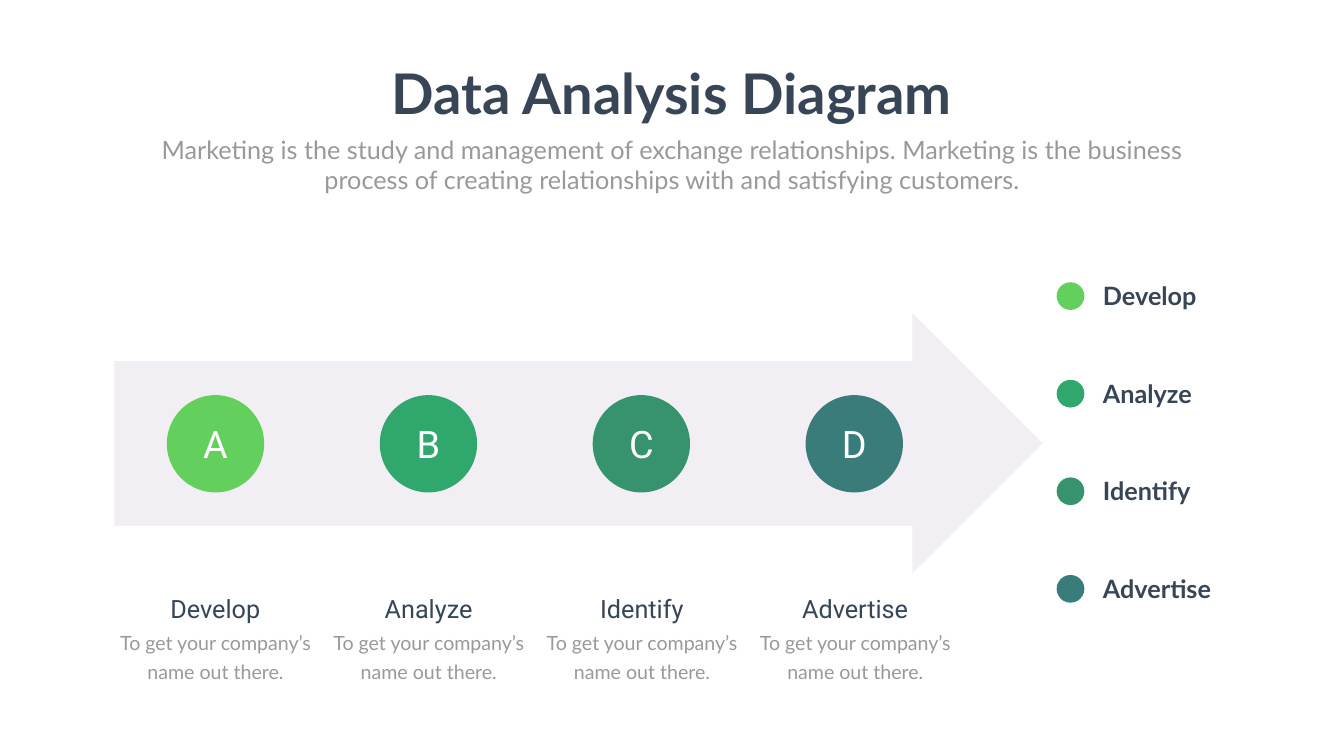
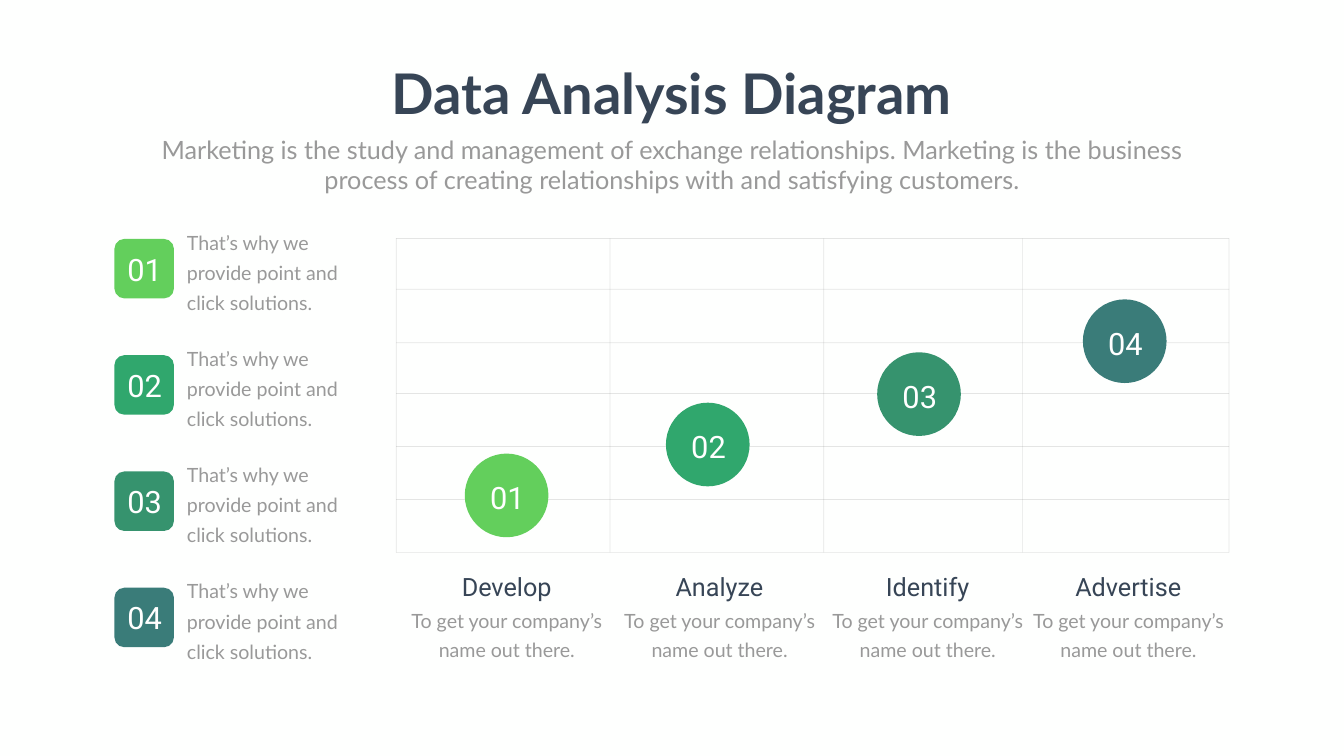
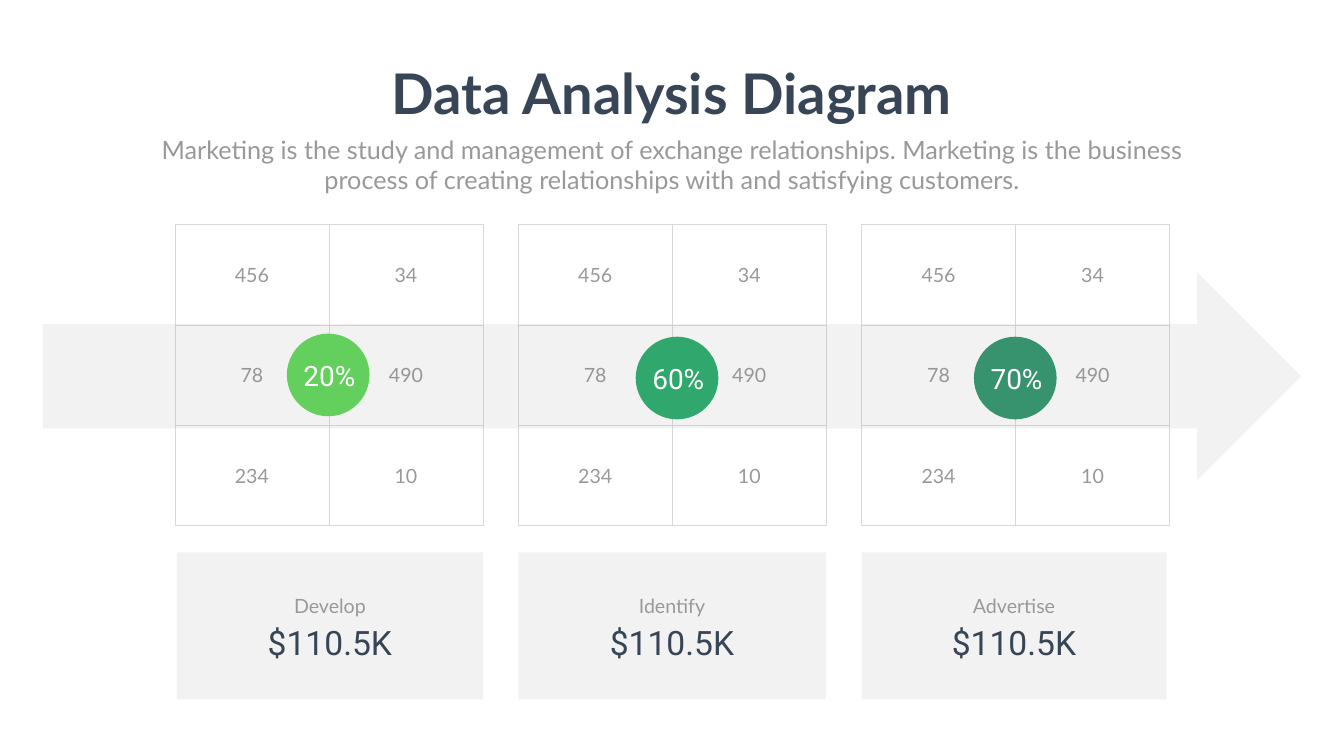
from lxml import etree
from pptx import Presentation
from pptx.dml.color import RGBColor
from pptx.enum import shapes, text
from pptx.oxml.ns import qn
from pptx.util import Pt

NAVY, GREY, WHITE = "374556", "999999", "FFFFFF"
BACKGROUND, ARROW, RULE, BORDER = "FEFFFE", "F1EEF4", "808080", "D9D9D9"
GREENS = ["63CF5C", "30A76D", "36936E", "3A7C79"]
STAGES = ["Develop", "Analyze", "Identify", "Advertise"]
NUMBERS = ["01", "02", "03", "04"]
FIGURES = [["456", "34"], ["78", "490"], ["234", "10"]]
TITLE = "Data Analysis Diagram"
SUBTITLE = (
    "Marketing is the study and management of exchange relationships. "
    "Marketing is the business process of creating relationships with "
    "and satisfying customers."
)
CAPTION = "To get your company’s name out there."
POINT = "That’s why we provide point and click solutions."
CENTER, LEFT = text.PP_ALIGN.CENTER, text.PP_ALIGN.LEFT
AUTO = shapes.MSO_SHAPE


def color(value):
    return RGBColor.from_string(value)


def box(*lengths):
    return [Pt(length) for length in lengths]


def set_alpha(parent, percent):
    for tint in parent.iter(qn("a:srgbClr")):
        etree.SubElement(tint, qn("a:alpha")).set("val", str(percent * 1000))


def write(paragraph, words, size, font, ink, align=CENTER, bold=False, leading=None):
    paragraph.alignment = align
    if leading:
        paragraph.line_spacing = Pt(leading)
    run = paragraph.add_run()
    run.text = words
    run.font.size = Pt(size)
    run.font.name = font
    run.font.bold = bold
    run.font.color.rgb = color(ink)


def add_text(slide, place, words, size, font, ink, wrap=True, **style):
    frame = slide.shapes.add_textbox(*box(*place)).text_frame
    frame.word_wrap = wrap
    write(frame.paragraphs[0], words, size, font, ink, **style)


def add_block(slide, kind, place, fill, alpha=None, adjustments=()):
    block = slide.shapes.add_shape(kind, *box(*place))
    block.shadow.inherit = False
    block.fill.solid()
    block.fill.fore_color.rgb = color(fill)
    block.line.fill.background()
    for index, value in enumerate(adjustments):
        block.adjustments[index] = value
    if alpha:
        set_alpha(block.element.spPr, alpha)


def add_circle(slide, left, top, diameter, fill):
    add_block(slide, AUTO.OVAL, (left, top, diameter, diameter), fill)


def add_rule(slide, *ends):
    rule = slide.shapes.add_connector(shapes.MSO_CONNECTOR.STRAIGHT, *box(*ends))
    rule.line.width = Pt(1)
    rule.line.color.rgb = color(RULE)
    properties = rule._element.spPr
    set_alpha(properties, 20)
    etree.SubElement(properties, qn("a:effectLst"))


def add_caption(slide, left, top, stage):
    add_text(slide, (left, top, 300.2, 87.8), CAPTION, 28, "Lato", GREY, leading=40.8)
    add_text(slide, (left + 24.5, top - 46.8, 250.6, 50), stage, 36, "Roboto", NAVY)


def add_border(cell):
    properties = cell._tc.get_or_add_tcPr()
    for index, side in enumerate(["lnL", "lnR", "lnT", "lnB"]):
        edge = etree.Element(qn("a:" + side), w=str(Pt(1)))
        fill = etree.SubElement(edge, qn("a:solidFill"))
        etree.SubElement(fill, qn("a:srgbClr"), val=BORDER)
        properties.insert(index, edge)


def add_figures(slide, left, top):
    frame = slide.shapes.add_table(3, 2, *box(left, top, 440, 429.9))
    table = frame.table
    table.first_row = table.horz_banding = False
    for column in table.columns:
        column.width = Pt(220)
    for row, values in zip(table.rows, FIGURES):
        row.height = Pt(143.3)
        for cell, value in zip(row.cells, values):
            cell.vertical_anchor = text.MSO_ANCHOR.MIDDLE
            cell.fill.solid()
            cell.fill.fore_color.rgb = color(WHITE)
            write(cell.text_frame.paragraphs[0], value, 28, "Lato", GREY)
            add_border(cell)


def add_slide(deck):
    slide = deck.slides.add_slide(deck.slide_layouts[6])
    slide.background.fill.solid()
    slide.background.fill.fore_color.rgb = color(BACKGROUND)
    add_text(slide, (542.2, 80.6, 834.5, 104.4), TITLE, 80, "Lato", NAVY,
             wrap=False, bold=True)
    add_text(slide, (210.2, 187.9, 1499, 94.3), SUBTITLE, 36, "Lato", GREY)
    return slide


def build_process(deck):
    slide = add_slide(deck)
    add_block(slide, AUTO.RIGHT_ARROW, (163.4, 447.8, 1325.5, 371.5), ARROW,
              adjustments=(0.634, 0.5))
    for index, (stage, green, letter) in enumerate(zip(STAGES, GREENS, "ABCD")):
        legend_top = 403.2 + 139.4 * index
        add_circle(slide, 1509.1, legend_top, 39.6, green)
        add_text(slide, (1568.2, legend_top - 6.2, 187.9, 51.1), stage, 36, "Lato",
                 NAVY, align=LEFT, bold=True)
        left = 238.3 + 304.1 * index
        add_circle(slide, left, 564.5, 139, green)
        add_text(slide, (left + 24.8, 597, 89.3, 72.7), letter, 54, "Roboto", WHITE)
        add_caption(slide, 157.7 + 304.6 * index, 890.6, stage)


def build_grid(deck):
    slide = add_slide(deck)
    rows = [340.6, 413.3, 489.6, 562.3, 637.9, 713.5, 789.1]
    columns = [565.9, 871.2, 1176.5, 1460.2, 1755.4]
    for y in rows:
        add_rule(slide, columns[0], y, columns[-1], y)
    for x in columns:
        add_rule(slide, x, rows[0], x, rows[-1])
    circles = [(663.8, 648), (951.1, 575.3), (1252.8, 503.3), (1546.6, 427.7)]
    caption_lefts = [573.8, 877.7, 1175, 1461.6]
    steps = zip(STAGES, GREENS, NUMBERS, circles, caption_lefts)
    for index, (stage, green, number, (left, top), caption_left) in enumerate(steps):
        add_circle(slide, left, top, 119.5, green)
        add_text(slide, (left + 26.3, top + 32.6, 69.1, 56.2), number, 44, "Roboto", WHITE)
        add_caption(slide, caption_left, 859.7, stage)
        tile_top = 341.3 + 166.1 * index
        add_block(slide, AUTO.ROUNDED_RECTANGLE, (163.4, tile_top, 85, 85), green)
        add_text(slide, (158.4, tile_top + 12.8, 96.5, 60.5), number, 44, "Roboto", WHITE)
        add_text(slide, (259.9, tile_top - 24.8, 255.6, 132.5), POINT, 28, "Lato", GREY,
                 align=LEFT, leading=43)


def build_figures(deck):
    slide = add_slide(deck)
    for index in range(3):
        add_figures(slide, 249.8 + 490.3 * index, 321.1)
    add_block(slide, AUTO.RIGHT_ARROW, (61.2, 388.8, 1797.1, 297.4), RULE, alpha=10)
    shares = [("20%", 409.7, 476.6), ("60%", 907.9, 481), ("70%", 1391, 481)]
    for (share, left, top), green in zip(shares, GREENS):
        add_circle(slide, left, top, 118.1, green)
        add_text(slide, (left + 1.8, top + 32, 118.1, 55.4), share, 40, "Roboto", WHITE)
    panels = [("Develop", 252.7, 437), ("Identify", 740.2, 439.2), ("Advertise", 1230.5, 435.6)]
    for index, (stage, left, width) in enumerate(panels):
        add_block(slide, AUTO.RECTANGLE, (left, 789.1, width, 210.2), RULE, alpha=10)
        name_left = 390.2 + 488.5 * index
        add_text(slide, (name_left, 838.1, 162, 45.4), stage, 28, "Lato", GREY, leading=40.8)
        add_text(slide, (name_left - 25.2, 884.9, 212.4, 65.5), "$110.5K", 48, "Roboto", NAVY)


def main():
    deck = Presentation()
    deck.slide_width, deck.slide_height = box(1919.5, 1080)
    build_process(deck)
    build_grid(deck)
    build_figures(deck)
    deck.save("out.pptx")


if __name__ == "__main__":
    main()
